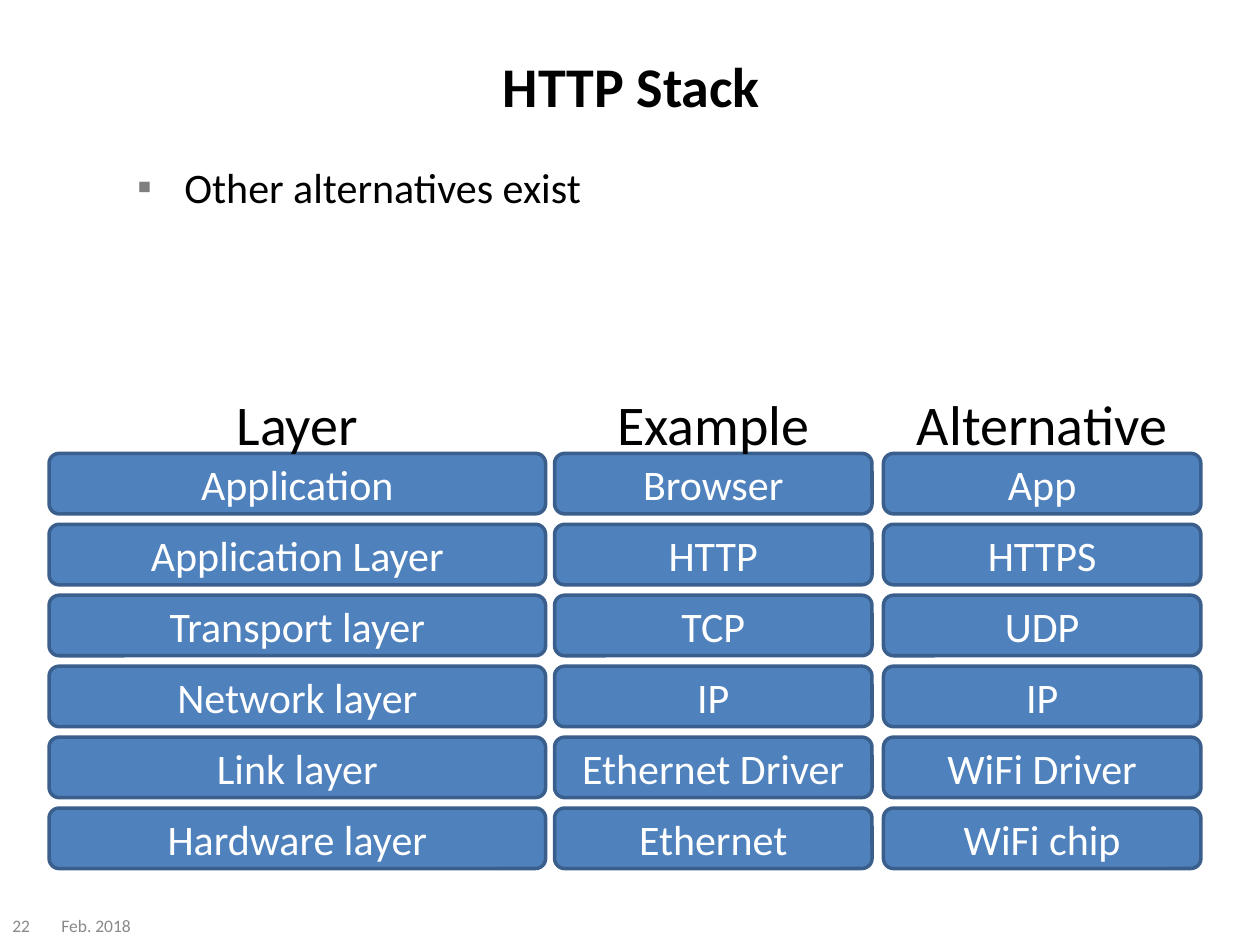
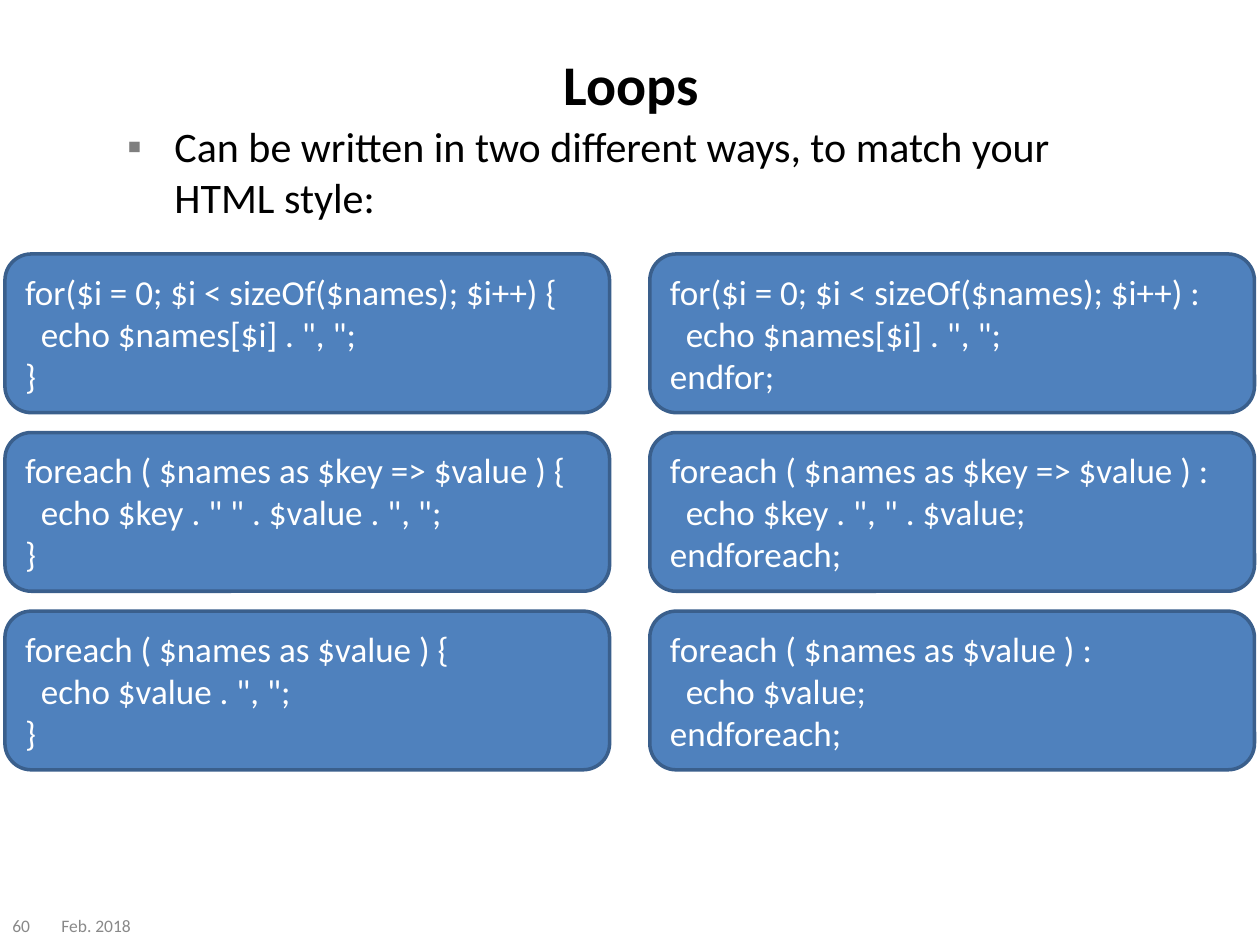
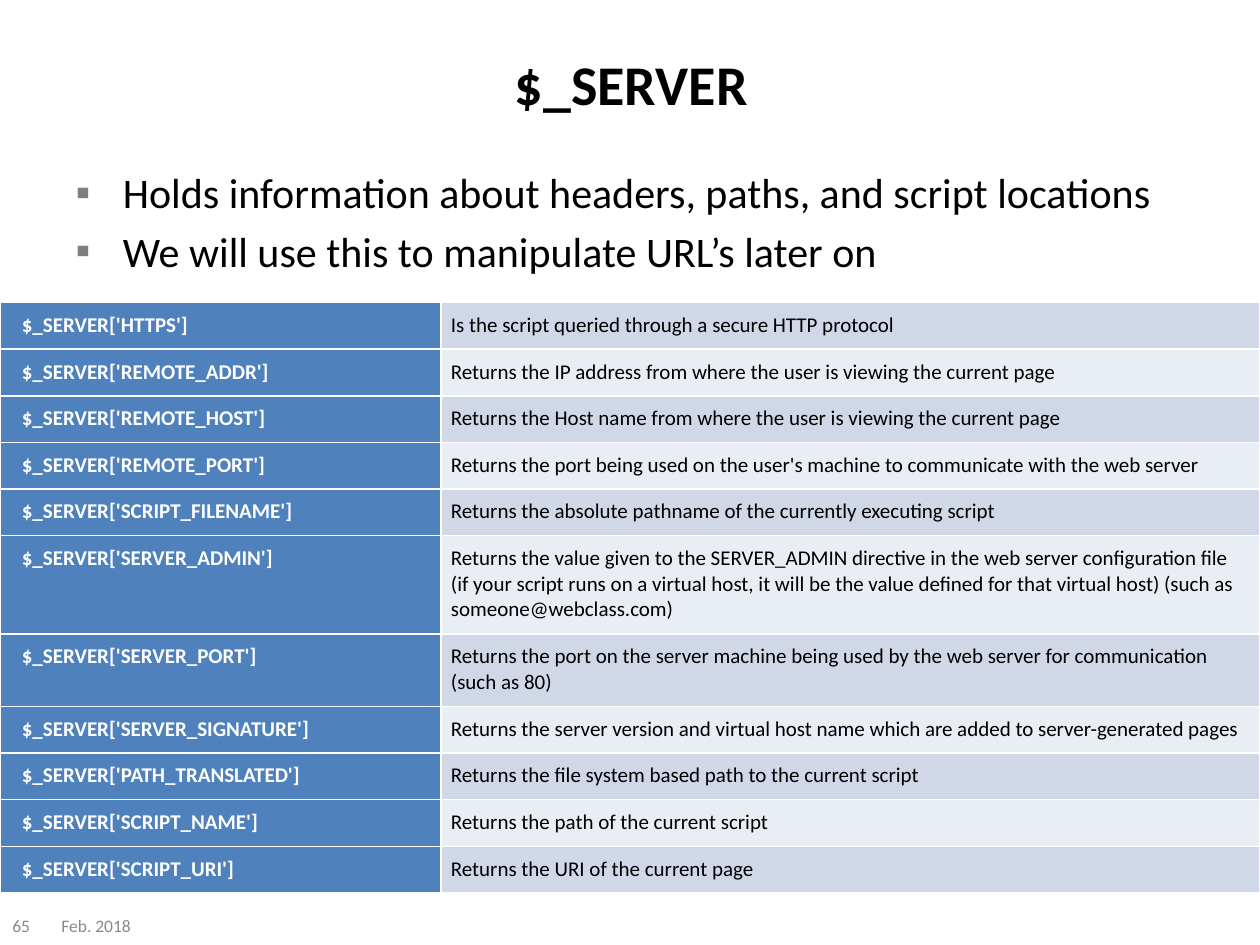
from dataclasses import dataclass

from lxml import etree
from pptx import Presentation
from pptx.dml.color import RGBColor
from pptx.enum.shapes import MSO_SHAPE
from pptx.enum.text import MSO_ANCHOR, MSO_AUTO_SIZE, PP_ALIGN
from pptx.oxml.ns import qn
from pptx.util import Cm, Pt

ROUNDED = MSO_SHAPE.ROUNDED_RECTANGLE
LEFT, CENTER = PP_ALIGN.LEFT, PP_ALIGN.CENTER
TOP, MIDDLE = MSO_ANCHOR.TOP, MSO_ANCHOR.MIDDLE
NO_FIT = MSO_AUTO_SIZE.NONE
TITLE_AND_CONTENT = 1


@dataclass(frozen=True)
class Theme:
    font: str = "Calibri"
    text: str = "000000"
    on_fill: str = "FFFFFF"
    fill: str = "4F81BD"
    outline: str = "3A5F8C"
    footer: str = "898989"
    bullet: str = "7F7F7F"
    bands: tuple = ("D0D8E8", "E9EDF4")
    title_size: int = 32
    body_size: int = 24
    code_size: int = 20
    table_size: int = 12
    footer_size: int = 10


theme = Theme()


def write(tf, lines, size, color, align=LEFT, bold=False, anchor=MIDDLE):
    """Fill a text frame with one paragraph per line, all in one style."""
    tf.word_wrap = True
    tf.vertical_anchor = anchor
    for i, line in enumerate(lines):
        p = tf.add_paragraph() if i else tf.paragraphs[0]
        p.text = line
        p.alignment = align
        p.font.name = theme.font
        p.font.size = Pt(size)
        p.font.bold = bold
        p.font.color.rgb = RGBColor.from_string(color)


def add_box(s, place, lines, size, align):
    """Add a filled rounded box; place is left, top, width, height in cm."""
    sp = s.shapes.add_shape(ROUNDED, *map(Cm, place))
    sp.shadow.inherit = False
    sp.fill.solid()
    sp.fill.fore_color.rgb = RGBColor.from_string(theme.fill)
    sp.line.color.rgb = RGBColor.from_string(theme.outline)
    sp.line.width = Pt(2)
    write(sp.text_frame, lines, size, theme.on_fill, align)
    return sp


prs = Presentation()
prs.slide_width, prs.slide_height = Cm(25.4), Cm(19.05)

# Titles, bullet lists and footers
PAGES = [
    ("22", "HTTP Stack", (1.3, 0.13, 22.86, 3.18),
     ["Other alternatives exist"], (2.51, 3.12, 21.01, 3.86)),
    ("60", "Loops", (1.3, 0.23, 22.86, 2.9),
     ["Can be written in two different ways, to match your HTML style:"],
     (2.31, 2.31, 20.83, 14.3)),
    ("65", "$_SERVER", (1.3, 0.23, 22.86, 2.9),
     ["Holds information about headers, paths, and script locations",
      "We will use this to manipulate URL’s later on"],
     (1.27, 3.23, 22.86, 15.01)),
]
for number, title, title_place, bullets, body_place in PAGES:
    s = prs.slides.add_slide(prs.slide_layouts[TITLE_AND_CONTENT])
    body = s.placeholders[1]
    for sp, place in ((s.shapes.title, title_place), (body, body_place)):
        sp.left, sp.top, sp.width, sp.height = map(Cm, place)
        sp.text_frame.auto_size = NO_FIT
    write(s.shapes.title.text_frame, [title], theme.title_size, theme.text, CENTER, True)
    write(body.text_frame, bullets, theme.body_size, theme.text, anchor=TOP)
    for p in body.text_frame.paragraphs:
        bullet_color = etree.Element(qn("a:buClr"))
        etree.SubElement(bullet_color, qn("a:srgbClr"), val=theme.bullet)
        pPr = p._p.get_or_add_pPr()
        pPr.insert(0, bullet_color)
        pPr.insert(1, etree.Element(qn("a:buChar"), char="▪"))
    for text, left, width in (("Feb. 2018", 0.99, 2.39), (number, 0, 1.19)):
        sp = s.shapes.add_textbox(Cm(left), Cm(18.26), Cm(width), Cm(0.79))
        write(sp.text_frame, [text], theme.footer_size, theme.footer)

stack_slide, loops_slide, server_slide = prs.slides

# HTTP Stack: one column of boxes under each heading
STACK = [
    ("Layer", 3.0, 0.99, 10.01,
     ["Application", "Application Layer", "Transport layer",
      "Network layer", "Link layer", "Hardware layer"]),
    ("Example", 4.45, 11.18, 6.4,
     ["Browser", "HTTP", "TCP", "IP", "Ethernet Driver", "Ethernet"]),
    ("Alternative", 5.61, 17.81, 6.4,
     ["App", "HTTPS", "UDP", "IP", "WiFi Driver", "WiFi chip"]),
]
for heading, heading_width, left, width, layers in STACK:
    for row, layer in enumerate(layers):
        add_box(stack_slide, (left, 9.14 + 1.43 * row, width, 1.22),
                [layer], theme.body_size, CENTER)
    heading_left = left + (width - heading_width) / 2
    sp = stack_slide.shapes.add_textbox(Cm(heading_left), Cm(7.72), Cm(heading_width), Cm(1.63))
    write(sp.text_frame, [heading], theme.title_size, theme.text, CENTER, anchor=TOP)
    sp.text_frame.word_wrap = False

# Loops: brace style on the left, keyword style on the right
LOOPS = [
    (["for($i = 0; $i < sizeOf($names); $i++) {", 'echo $names[$i] . ", ";', "}"],
     ["for($i = 0; $i < sizeOf($names); $i++) :", 'echo $names[$i] . ", ";', "endfor;"]),
    (["foreach ( $names as $key => $value ) {", 'echo $key . " " . $value . ", ";', "}"],
     ["foreach ( $names as $key => $value ) :", 'echo $key . ", " . $value;', "endforeach;"]),
    (["foreach ( $names as $value ) {", 'echo $value . ", ";', "}"],
     ["foreach ( $names as $value ) :", "echo $value;", "endforeach;"]),
]
for row, pair in enumerate(LOOPS):
    for col, code in enumerate(pair):
        sp = add_box(loops_slide, (0.1 + 13 * col, 5.12 + 3.6 * row, 12.19, 3.2),
                     code, theme.code_size, LEFT)
        loop_body = sp.text_frame.paragraphs[1]
        loop_body._p.get_or_add_pPr().set("marL", str(Cm(0.32)))

# $_SERVER: key, meaning and number of text lines
SERVER = [
    ("HTTPS", "Is the script queried through a secure HTTP protocol", 1),
    ("REMOTE_ADDR", "Returns the IP address from where the user is viewing the current page", 1),
    ("REMOTE_HOST", "Returns the Host name from where the user is viewing the current page", 1),
    ("REMOTE_PORT", "Returns the port being used on the user's machine to communicate "
     "with the web server", 1),
    ("SCRIPT_FILENAME", "Returns the absolute pathname of the currently executing script", 1),
    ("SERVER_ADMIN", "Returns the value given to the SERVER_ADMIN directive in the web server "
     "configuration file (if your script runs on a virtual host, it will be the value defined "
     "for that virtual host) (such as someone@webclass.com)", 3),
    ("SERVER_PORT", "Returns the port on the server machine being used by the web server "
     "for communication (such as 80)", 2),
    ("SERVER_SIGNATURE", "Returns the server version and virtual host name which are added "
     "to server-generated pages", 1),
    ("PATH_TRANSLATED", "Returns the file system based path to the current script", 1),
    ("SCRIPT_NAME", "Returns the path of the current script", 1),
    ("SCRIPT_URI", "Returns the URI of the current page", 1),
]
table = server_slide.shapes.add_table(
    len(SERVER), 2, Cm(0), Cm(6.1), Cm(25.4), Cm(11.76)).table
table.first_row = table.horz_banding = False
table.columns[0].width, table.columns[1].width = Cm(8.89), Cm(16.51)
for row, (key, meaning, line_count) in enumerate(SERVER):
    table.rows[row].height = Cm(0.42 + 0.52 * line_count)
    columns = (
        (f"$_SERVER['{key}']", theme.fill, theme.on_fill, True, 0.44),
        (meaning, theme.bands[row % 2], theme.text, False, 0.2),
    )
    for col, (text, fill, color, bold, inset) in enumerate(columns):
        cell = table.cell(row, col)
        cell.fill.solid()
        cell.fill.fore_color.rgb = RGBColor.from_string(fill)
        cell.margin_left = Cm(inset)
        cell.margin_right = cell.margin_top = cell.margin_bottom = Cm(0.2)
        write(cell.text_frame, [text], theme.table_size, color, bold=bold, anchor=TOP)

prs.save("out.pptx")
